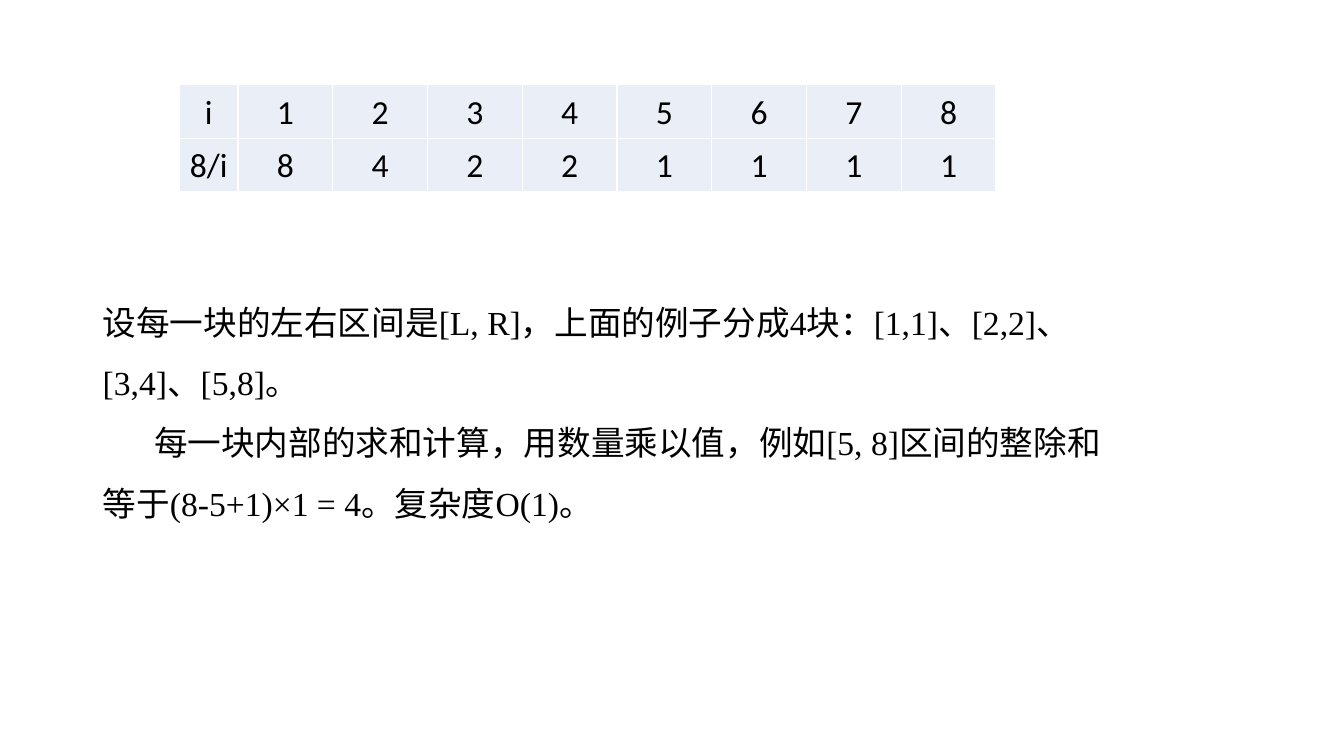
from typing import NamedTuple

from lxml.etree import SubElement
from pptx import Presentation
from pptx.dml.color import RGBColor
from pptx.enum.text import MSO_ANCHOR, MSO_AUTO_SIZE, PP_ALIGN
from pptx.oxml.ns import qn
from pptx.table import _Cell as Cell
from pptx.util import Emu, Pt

BLACK = RGBColor(0x00, 0x00, 0x00)
WHITE = RGBColor(0xFF, 0xFF, 0xFF)
PALE_BLUE = RGBColor(0xEA, 0xEF, 0xF7)

EMU_PER_PX = 9144  # 100 px to the inch
TEXT_SIZE = Pt(24)

DIVIDEND = 8
HEAD_WIDTH, VALUE_WIDTH, ROW_HEIGHT = 58, 94, 53
CELL_MARGIN_X, CELL_MARGIN_Y = 7, 5


class Paragraph(NamedTuple):
    text: str
    first_line_indent: int


EXPLANATION = [
    Paragraph("设每一块的左右区间是[L, R]，上面的例子分成4块：[1,1]、[2,2]、[3,4]、[5,8]。", 0),
    Paragraph("每一块内部的求和计算，用数量乘以值，例如[5, 8]区间的整除和"
              "等于(8-5+1)×1 = 4。复杂度O(1)。", 51),
]


def px(length: int) -> Emu:
    return Emu(length * EMU_PER_PX)


def add_explanation(slide) -> None:
    box = slide.shapes.add_textbox(px(92), px(273), px(1039), px(252))
    frame = box.text_frame
    frame.word_wrap = True
    frame.auto_size = MSO_AUTO_SIZE.SHAPE_TO_FIT_TEXT
    frame.vertical_anchor = MSO_ANCHOR.MIDDLE
    frame.text = "\n".join(item.text for item in EXPLANATION)
    for item, paragraph in zip(EXPLANATION, frame.paragraphs):
        paragraph.line_spacing = 1.5
        properties = paragraph._p.get_or_add_pPr()
        properties.set("indent", str(px(item.first_line_indent)))
        font = paragraph.runs[0].font
        font.name, font.size = "Times New Roman", TEXT_SIZE
        font.color.rgb = BLACK


def add_borders(cell: Cell) -> None:
    """Put a thin white line on all four sides of the cell."""
    properties = cell._tc.get_or_add_tcPr()
    for position, side in enumerate(("lnL", "lnR", "lnT", "lnB")):
        line = SubElement(properties, qn(f"a:{side}"), w=str(Pt(1)))
        fill = SubElement(line, qn("a:solidFill"))
        SubElement(fill, qn("a:srgbClr"), val=str(WHITE))
        properties.insert(position, line)


def fill_cell(cell: Cell, text: str) -> None:
    cell.fill.solid()
    cell.fill.fore_color.rgb = PALE_BLUE
    cell.margin_left = cell.margin_right = px(CELL_MARGIN_X)
    cell.margin_top = cell.margin_bottom = px(CELL_MARGIN_Y)
    cell.text_frame.text = text
    paragraph = cell.text_frame.paragraphs[0]
    paragraph.alignment = PP_ALIGN.CENTER
    paragraph.line_spacing = 1.07
    font = paragraph.runs[0].font
    font.name, font.size, font.bold = "Calibri", TEXT_SIZE, False
    font.color.rgb = BLACK
    add_borders(cell)


def add_quotient_table(slide) -> None:
    divisors = range(1, DIVIDEND + 1)
    rows = [
        ["i", *map(str, divisors)],
        [f"{DIVIDEND}/i", *(str(DIVIDEND // i) for i in divisors)],
    ]
    widths = [HEAD_WIDTH] + [VALUE_WIDTH] * len(divisors)
    table = slide.shapes.add_table(
        len(rows), len(widths), px(178), px(84),
        px(sum(widths)), px(ROW_HEIGHT * len(rows)),
    ).table
    table.first_row = table.horz_banding = False
    for column, width in zip(table.columns, widths):
        column.width = px(width)
    for row, values in zip(table.rows, rows):
        row.height = px(ROW_HEIGHT)
        for cell, value in zip(row.cells, values):
            fill_cell(cell, value)


def main() -> None:
    presentation = Presentation()
    presentation.slide_width, presentation.slide_height = px(1333), px(750)
    blank_layout = presentation.slide_layouts[6]
    slide = presentation.slides.add_slide(blank_layout)
    add_explanation(slide)
    add_quotient_table(slide)
    presentation.save("out.pptx")


if __name__ == "__main__":
    main()
